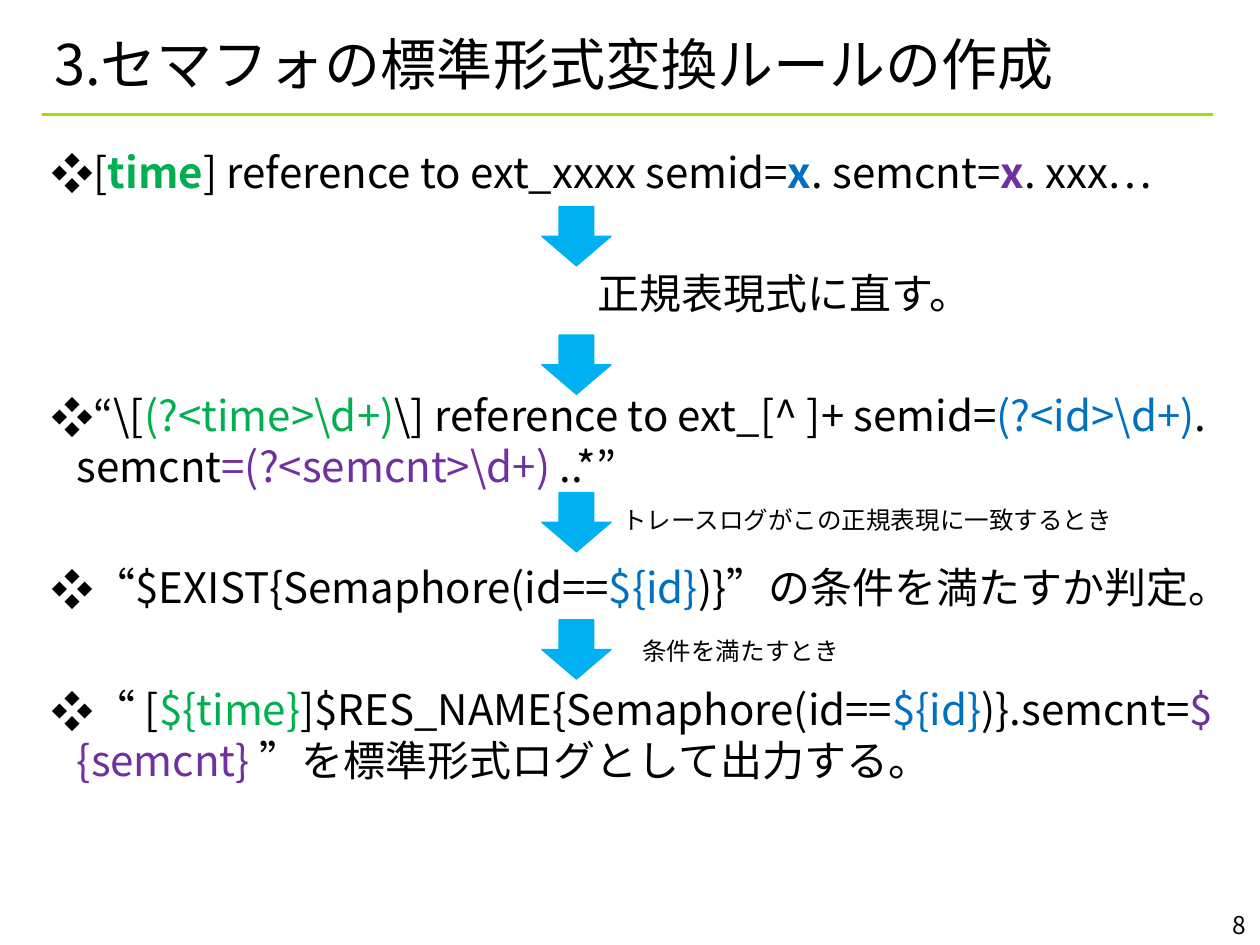
from lxml import etree
from pptx import Presentation
from pptx.dml.color import RGBColor
from pptx.enum.shapes import MSO_CONNECTOR, MSO_SHAPE
from pptx.enum.text import MSO_ANCHOR, MSO_AUTO_SIZE, PP_ALIGN
from pptx.oxml.ns import qn
from pptx.util import Inches, Pt

STRAIGHT = MSO_CONNECTOR.STRAIGHT
DOWN_ARROW = MSO_SHAPE.DOWN_ARROW
MIDDLE, TOP = MSO_ANCHOR.MIDDLE, MSO_ANCHOR.TOP
NO_FIT = MSO_AUTO_SIZE.NONE
LEFT, RIGHT = PP_ALIGN.LEFT, PP_ALIGN.RIGHT

FONT = "Noto Sans CJK JP"
COLORS = {
    "text": "000000",
    "time": "00B050",
    "id": "0070C0",
    "count": "7030A0",
    "arrow": "00B0F0",
    "rule": "A4DE00",
}
STEP_INDENT = 4.33
STEPS = [
    (True, [("[", "text"), ("time", "time", True),
            ("] reference to ext_xxxx semid=", "text"), ("x", "id", True),
            (". semcnt=", "text"), ("x", "count", True), (". xxx…", "text")]),
    (False, [("正規表現式に直す。", "text")]),
    (True, [(r"“\[", "text"), (r"(?<time>\d+)", "time"),
            (r"\] reference to ext_[^ ]+ semid=", "text"),
            (r"(?<id>\d+)", "id"), (". semcnt", "text"),
            (r"=(?<semcnt>\d+) ", "count"), ("..*”", "text")]),
    (True, [("“$EXIST{Semaphore(id==", "text"), ("${id}", "id"),
            (")}”の条件を満たすか判定。", "text")]),
    (True, [("“ [", "text"), ("${time}", "time"),
            ("]$RES_NAME{Semaphore(id==", "text"), ("${id}", "id"),
            (")}.semcnt=", "text"), ("${semcnt} ", "count"),
            ("”を標準形式ログとして出力する。", "text")]),
]
ARROW_TOPS = [1.64, 2.66, 3.91, 4.92]
LABELS = [
    ("トレースログがこの正規表現に一致するとき", (4.84, 3.96, 5, 0.34), LEFT),
    ("条件を満たすとき", (5, 5, 1.8, 0.34), LEFT),
    ("8", (9.08, 7.17, 0.91, 0.33), RIGHT),
]


def color(name):
    return RGBColor.from_string(COLORS[name])


def place(shape, left, top, width, height):
    shape.left, shape.top = Inches(left), Inches(top)
    shape.width, shape.height = Inches(width), Inches(height)


def set_font(paragraph, size):
    paragraph.font.size = Pt(size)
    paragraph.font.name = FONT
    paragraph.font.color.rgb = color("text")
    defaults = paragraph._p.pPr.find(qn("a:defRPr"))
    etree.SubElement(defaults, qn("a:ea"), typeface=FONT)


def set_bullet(paragraph, bulleted):
    properties = paragraph._p.get_or_add_pPr()
    properties.set("marL", str(Inches(0.2 if bulleted else STEP_INDENT)))
    properties.set("indent", str(Inches(-0.2 if bulleted else 0)))
    if not bulleted:
        etree.SubElement(properties, qn("a:buNone"))
        return
    bullet_color = etree.SubElement(properties, qn("a:buClr"))
    etree.SubElement(bullet_color, qn("a:srgbClr"), val=COLORS["text"])
    etree.SubElement(properties, qn("a:buFont"), typeface=FONT)
    etree.SubElement(properties, qn("a:buChar"), char="❖")


def fill_title(title):
    place(title, 0.33, 0.25, 9.25, 0.5)
    frame = title.text_frame
    frame.auto_size = NO_FIT
    frame.vertical_anchor = MIDDLE
    frame.text = "3.セマフォの標準形式変換ルールの作成"
    paragraph = frame.paragraphs[0]
    paragraph.alignment = LEFT
    set_font(paragraph, 32)


def fill_steps(body):
    place(body, 0.31, 1.08, 9.53, 6)
    frame = body.text_frame
    frame.auto_size = NO_FIT
    frame.vertical_anchor = TOP
    frame.margin_top = Inches(0.08)
    for number, (bulleted, spans) in enumerate(STEPS):
        paragraph = frame.add_paragraph() if number else frame.paragraphs[0]
        paragraph.line_spacing = Pt(28.8)
        paragraph.space_before = Pt(40.8 if number else 0)
        set_bullet(paragraph, bulleted)
        set_font(paragraph, 24)
        for text, tint, *bold in spans:
            span = paragraph.add_run()
            span.text = text
            span.font.color.rgb = color(tint)
            if bold:
                span.font.bold = True


def add_rule(page):
    rule = page.shapes.add_connector(
        STRAIGHT, Inches(0.33), Inches(0.91), Inches(9.63), Inches(0.91))
    rule.line.color.rgb = color("rule")
    rule.line.width = Pt(1.5)
    etree.SubElement(rule._element.spPr, qn("a:effectLst"))


def add_arrow(page, top):
    arrow = page.shapes.add_shape(
        DOWN_ARROW, Inches(4.3), Inches(top), Inches(0.55), Inches(0.47))
    arrow.shadow.inherit = False
    arrow.fill.solid()
    arrow.fill.fore_color.rgb = color("arrow")
    arrow.line.color.rgb = color("arrow")
    arrow.line.width = Pt(0.75)


def add_label(page, text, bounds, alignment):
    box = page.shapes.add_textbox(*map(Inches, bounds))
    box.text_frame.word_wrap = True
    box.text_frame.text = text
    paragraph = box.text_frame.paragraphs[0]
    paragraph.alignment = alignment
    set_font(paragraph, 14)


def main():
    deck = Presentation()
    deck.slide_width, deck.slide_height = Inches(10), Inches(7.5)
    page = deck.slides.add_slide(deck.slide_layouts[1])
    add_rule(page)
    fill_title(page.shapes.title)
    fill_steps(page.placeholders[1])
    for top in ARROW_TOPS:
        add_arrow(page, top)
    for text, bounds, alignment in LABELS:
        add_label(page, text, bounds, alignment)
    deck.save("out.pptx")


if __name__ == "__main__":
    main()
